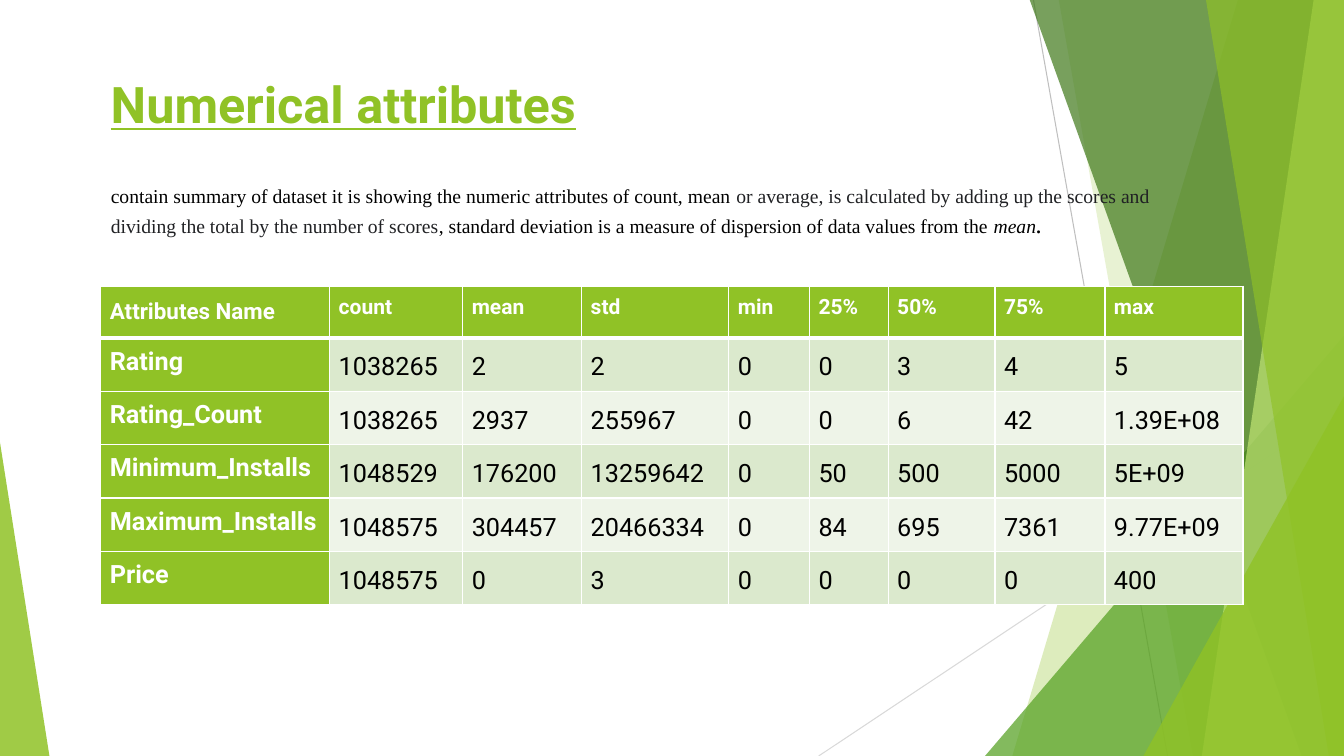
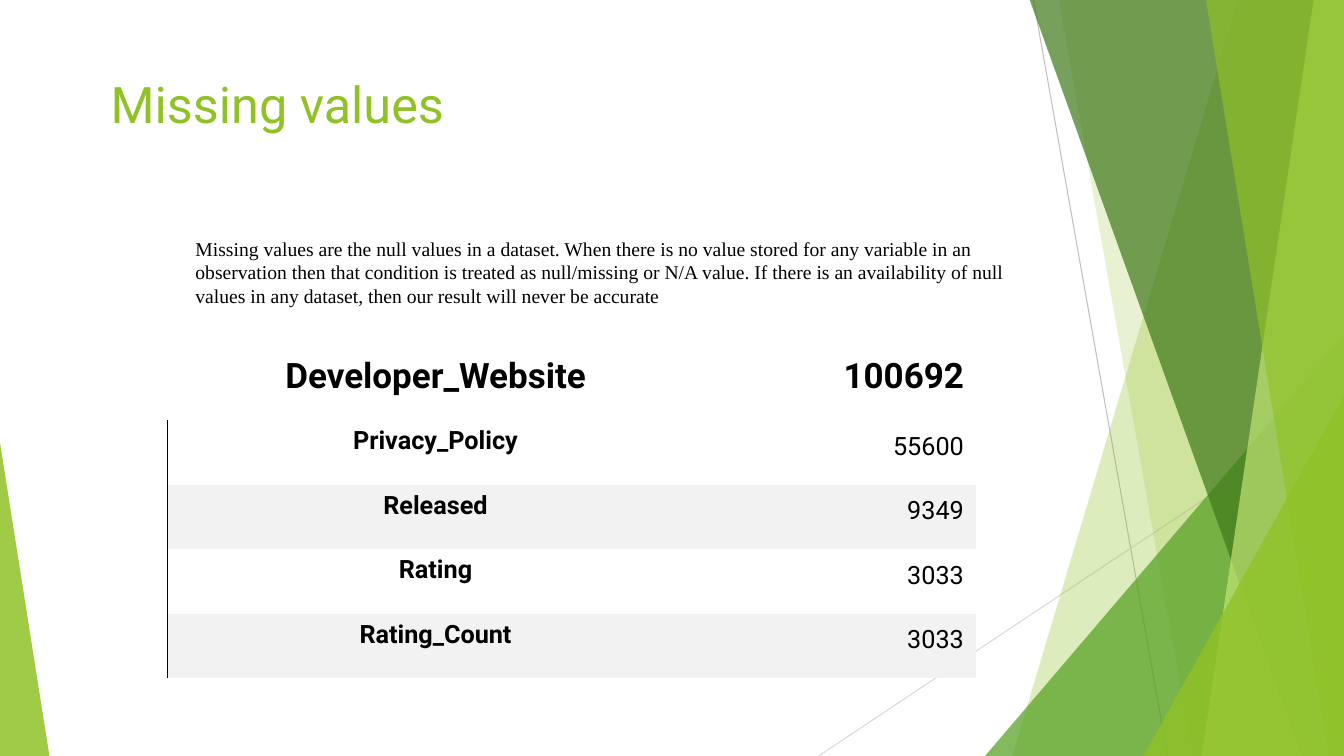
from lxml.etree import SubElement
from pptx import Presentation
from pptx.dml.color import RGBColor
from pptx.enum.shapes import MSO_CONNECTOR, MSO_SHAPE
from pptx.enum.text import MSO_ANCHOR, PP_ALIGN
from pptx.oxml.ns import qn
from pptx.util import Inches, Pt

COLORS = {
    "green": "90C226",
    "leaf": "54A021",
    "forest": "3F7819",
    "lime": "C0E474",
    "white": "FFFFFF",
    "black": "000000",
    "ink": "202124",
    "band_dark": "DBE9CD",
    "band_light": "EEF4E8",
    "band_gray": "F2F2F2",
    "line_dark": "BFBFBF",
    "line_light": "D9D9D9",
}
HEADING = "Roboto"
BODY = "Times New Roman"
WIDTH, HEIGHT = 13.33, 7.5


def rgb(name):
    return RGBColor.from_string(COLORS[name])


def write(paragraph, text, size=14, font=HEADING, color="black",
          bold=False, italic=False, underline=False, align=None, spacing=None):
    run = paragraph.add_run()
    run.text = text
    run.font.size = Pt(size)
    run.font.name = font
    run.font.color.rgb = rgb(color)
    run.font.bold = bold
    run.font.italic = italic
    run.font.underline = underline
    if align is not None:
        paragraph.alignment = align
    if spacing is not None:
        paragraph.line_spacing = spacing


class Deck:
    def __init__(self):
        self.presentation = Presentation()
        self.presentation.slide_width = Inches(WIDTH)
        self.presentation.slide_height = Inches(HEIGHT)
        self.slide = None

    def start_slide(self):
        self.slide = self.presentation.slides.add_slide(self.presentation.slide_layouts[6])
        self.line((10.25, 0), (11.58, HEIGHT), "line_dark")
        self.line((WIDTH, 4.03), (8.12, HEIGHT), "line_light")
        self.shard(12.28, 10.04, "green", 30)
        self.shard(10.5, 11.83, "green", 20)
        self.triangle(9.77, 3.33, 3.56, "leaf", 72)
        self.shard(10.21, 12.91, "forest", 70)
        self.shard(13.03, 11.92, "lime", 70)
        self.shard(11.96, 13.18, "green", 65)
        self.triangle(11.34, 3.93, 1.99, "green", 80)
        self.triangle(0, 4.39, 0.49, "green", 85, apex=0)

    def line(self, start, end, color):
        ends = [Inches(v) for v in (*start, *end)]
        connector = self.slide.shapes.add_connector(MSO_CONNECTOR.STRAIGHT, *ends)
        connector.line.color.rgb = rgb(color)
        connector.line.width = Pt(0.75)
        SubElement(connector._element.spPr, qn("a:effectLst"))

    def paint(self, shape, color, opacity):
        shape.shadow.inherit = False
        shape.fill.solid()
        shape.fill.fore_color.rgb = rgb(color)
        shape.line.fill.background()
        tint = shape._element.spPr.find(".//" + qn("a:srgbClr"))
        SubElement(tint, qn("a:alpha")).set("val", str(opacity * 1000))

    def shard(self, top_left, bottom_left, color, opacity):
        corners = [(top_left, -0.01), (WIDTH, -0.01), (WIDTH, HEIGHT), (bottom_left, HEIGHT)]
        points = [(Inches(x), Inches(y)) for x, y in corners]
        outline = self.slide.shapes.build_freeform(*points[0], scale=1.0)
        outline.add_line_segments(points[1:], close=True)
        self.paint(outline.convert_to_shape(), color, opacity)

    def triangle(self, left, top, width, color, opacity, apex=1):
        shape = self.slide.shapes.add_shape(
            MSO_SHAPE.ISOSCELES_TRIANGLE, Inches(left), Inches(top),
            Inches(width), Inches(HEIGHT - top))
        shape.adjustments[0] = apex
        self.paint(shape, color, opacity)

    def text(self, left, top, width, height, runs):
        box = self.slide.shapes.add_textbox(
            Inches(left), Inches(top), Inches(width), Inches(height))
        box.text_frame.word_wrap = True
        for words, style in runs:
            write(box.text_frame.paragraphs[0], words, **style)

    def title(self, words, **style):
        self.text(1, 0.68, 11.33, 1.1, [(words, dict(size=36, color="green", **style))])

    def table(self, left, top, columns, rows):
        frame = self.slide.shapes.add_table(
            len(rows), len(columns), Inches(left), Inches(top),
            Inches(sum(columns)), Inches(sum(rows)))
        grid = frame.table
        grid.first_row = grid.horz_banding = False
        for column, width in zip(grid.columns, columns):
            column.width = Inches(width)
        for row, height in zip(grid.rows, rows):
            row.height = Inches(height)
        return grid

    def cell(self, cell, words, margins, anchor, fill=None, borders=None, **style):
        for side in "LRTB":
            edge = SubElement(cell._tc.get_or_add_tcPr(), qn("a:ln" + side))
            color, points = (borders or {}).get(side, (None, 0))
            edge.set("w", str(Pt(points)))
            if color:
                solid = SubElement(edge, qn("a:solidFill"))
                SubElement(solid, qn("a:srgbClr")).set("val", COLORS[color])
            else:
                SubElement(edge, qn("a:noFill"))
        if fill:
            cell.fill.solid()
            cell.fill.fore_color.rgb = rgb(fill)
        else:
            cell.fill.background()
        (cell.margin_left, cell.margin_top,
         cell.margin_right, cell.margin_bottom) = [Inches(m) for m in margins]
        cell.vertical_anchor = anchor
        write(cell.text_frame.paragraphs[0], words, **style)


def numerical_attributes(deck):
    deck.start_slide()
    deck.title("Numerical attributes", bold=True, underline=True)
    statistics = [
        ["Attributes Name", "count", "mean", "std", "min", "25%", "50%", "75%", "max"],
        ["Rating", "1038265", "2", "2", "0", "0", "3", "4", "5"],
        ["Rating_Count", "1038265", "2937", "255967", "0", "0", "6", "42", "1.39E+08"],
        ["Minimum_Installs", "1048529", "176200", "13259642", "0", "50", "500", "5000", "5E+09"],
        ["Maximum_Installs", "1048575", "304457", "20466334", "0", "84", "695", "7361", "9.77E+09"],
        ["Price", "1048575", "0", "3", "0", "0", "0", "0", "400"],
    ]
    grid = deck.table(1, 2.84, [2.27, 1.32, 1.18, 1.46, 0.8, 0.78, 1.06, 1.09, 1.37],
                      [0.51] + [0.53] * 5)
    for r, record in enumerate(statistics):
        borders = {side: ("white", 1) for side in "LRTB"}
        if r < 2:
            borders["B" if r == 0 else "T"] = ("white", 3)
        for c, value in enumerate(record):
            label = r == 0 or c == 0
            anchor = MSO_ANCHOR.TOP if label else MSO_ANCHOR.BOTTOM
            size = 18 if r else 15
            if r == c == 0:
                anchor, size = MSO_ANCHOR.MIDDLE, 16
            band = "band_dark" if r % 2 else "band_light"
            deck.cell(grid.cell(r, c), value, [0.09] * 4, anchor,
                      fill="green" if label else band, borders=borders, size=size,
                      color="white" if label else "black", bold=label)
    body = dict(font=BODY)
    deck.text(1, 1.78, 10.59, 0.94, [
        ("contain summary of dataset it is showing the numeric attributes of count, mean", body),
        (" or average, is calculated by\u00a0adding up the scores and dividing the total "
         "by the number of scores", dict(font=BODY, color="ink")),
        (", standard deviation is a measure of dispersion of data values from the\u00a0", body),
        ("mean", dict(font=BODY, italic=True)),
        (".", dict(font=BODY, italic=True, size=18)),
    ])


def missing_values(deck):
    deck.start_slide()
    deck.title("Missing values")
    missing = [
        ("Developer_Website", "100692"),
        ("Privacy_Policy", "55600"),
        ("Released", "9349"),
        ("Rating", "3033"),
        ("Rating_Count", "3033"),
    ]
    grid = deck.table(1.66, 3.42, [5.33, 2.69], [0.75] + [0.64] * 4)
    for r, record in enumerate(missing):
        for c, value in enumerate(record):
            top = r > 0 and c == 0
            deck.cell(grid.cell(r, c), value, [0.11, 0.03, 0.12, 0.23],
                      MSO_ANCHOR.TOP if top else MSO_ANCHOR.BOTTOM,
                      fill="band_gray" if r and r % 2 == 0 else None,
                      borders={"L": ("black", 0.75)} if top else None,
                      size=18 if r else 25, bold=r == 0 or c == 0, spacing=1.1,
                      align=PP_ALIGN.RIGHT if c else PP_ALIGN.CENTER)
    deck.text(1.84, 2.3, 8.67, 0.81, [(
        "Missing values are the null values in a dataset. When there is no value stored for "
        "any variable in an observation then that condition is treated as null/missing or "
        "N/A value. If there is an availability of null values in any dataset, then our "
        "result will never be accurate", dict(font=BODY))])


deck = Deck()
numerical_attributes(deck)
missing_values(deck)
deck.presentation.save("out.pptx")
